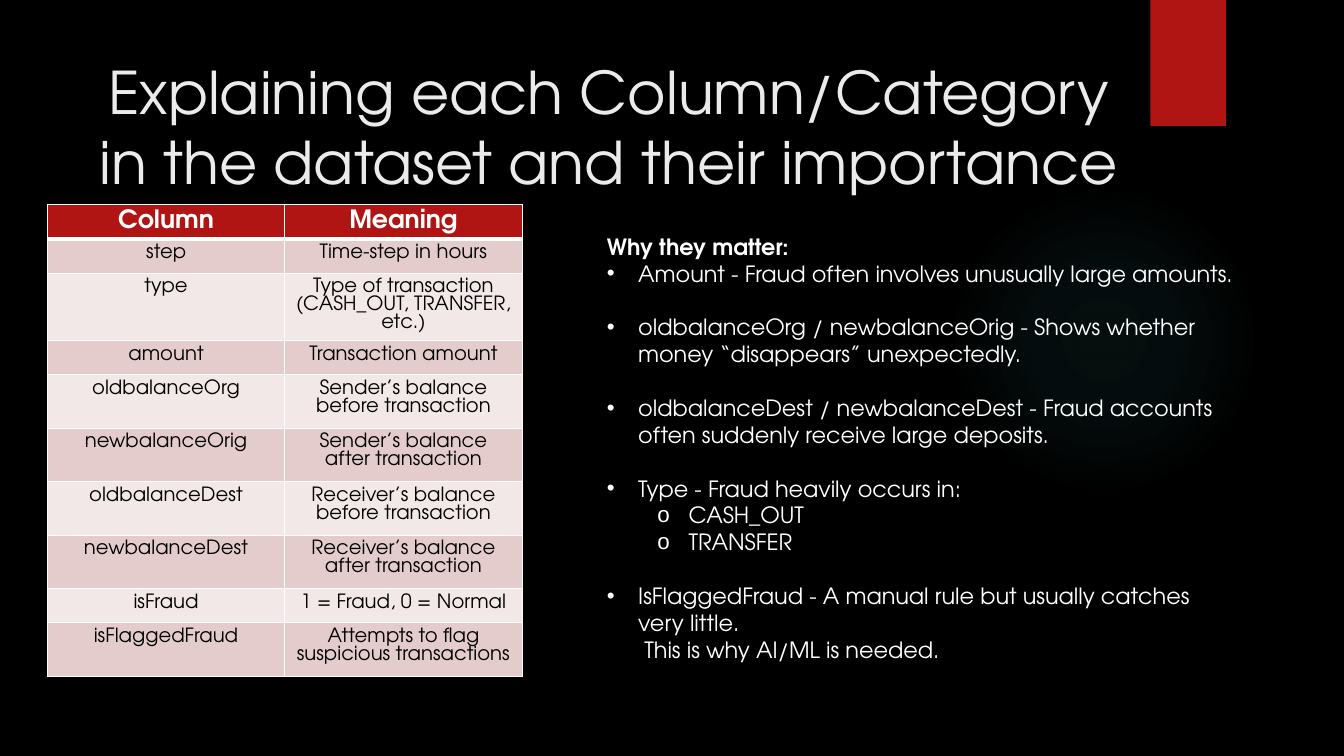
from lxml import etree
from pptx import Presentation
from pptx import util as u
from pptx.dml.color import RGBColor
from pptx.enum import shapes, text
from pptx.oxml import parse_xml
from pptx.oxml.ns import nsdecls, qn

HEAD = "Explaining each Column/Category in the dataset and their importance"
ROWS = [
    ("Column", "Meaning", 1),
    ("step", "Time-step in hours", 1),
    ("type", "Type of transaction (CASH_OUT, TRANSFER, etc.)", 3),
    ("amount", "Transaction amount", 1),
    ("oldbalanceOrg", "Sender’s balance before transaction", 2),
    ("newbalanceOrig", "Sender’s balance after transaction", 2),
    ("oldbalanceDest", "Receiver’s balance before transaction", 2),
    ("newbalanceDest", "Receiver’s balance after transaction", 2),
    ("isFraud", "1 = Fraud, 0 = Normal", 1),
    ("isFlaggedFraud", "Attempts to flag suspicious transactions", 2),
]
POINTS = [
    ("Why they matter:", "lead", 0),
    ("Amount - Fraud often involves unusually large amounts.", "dot", 0),
    ("oldbalanceOrg / newbalanceOrig - Shows whether money “disappears” unexpectedly.", "dot", 1),
    ("oldbalanceDest / newbalanceDest - Fraud accounts often suddenly receive large deposits.", "dot", 1),
    ("Type - Fraud heavily occurs in:", "dot", 1),
    ("CASH_OUT", "sub", 0),
    ("TRANSFER", "sub", 0),
    ("IsFlaggedFraud - A manual rule but usually catches very little.\v This is why AI/ML is needed.", "dot", 1),
]
MARKS = {"lead": (0, None, 0, 0), "dot": (0, "•", 0.31, -0.31), "sub": (1, "o", 0.81, -0.31)}
TALL = {1: 0.34, 2: 0.53, 3: 0.67}
COL = 2.355
GAP = u.Pt(19.2)

FACE = "TeX Gyre Adventor"
BLACK = RGBColor(0, 0, 0)
WHITE = RGBColor(255, 255, 255)
PALE = RGBColor(0xEB, 0xEB, 0xEB)
RED = RGBColor(0xB0, 0x15, 0x13)
BANDS = [RGBColor(0xF2, 0xE8, 0xE7), RGBColor(0xE4, 0xCC, 0xCC)]
GLOW = RGBColor(0x50, 0xB9, 0xC1)
STOPS = [(0, 7), (36, 6), (69, 0)]


def put(item, **vals):
    for key, val in vals.items():
        setattr(item, key, val)


def style(para, size, color, bold=False):
    for run in para.runs:
        put(run.font, name=FACE, size=u.Pt(size), bold=bold)
        run.font.color.rgb = color


def place(item, left, top, wide, high):
    put(item, left=u.Inches(left), top=u.Inches(top), width=u.Inches(wide), height=u.Inches(high))


def frame(shape):
    put(shape.text_frame, word_wrap=True, auto_size=text.MSO_AUTO_SIZE.NONE,
        vertical_anchor=text.MSO_ANCHOR.TOP)
    return shape.text_frame


def decor(slide, kind, box, color, spot):
    shape = slide.shapes.add_shape(kind, *map(u.Inches, box))
    shape.shadow.inherit = False
    shape.fill.solid()
    shape.fill.fore_color.rgb = color
    shape.line.fill.background()
    slide.shapes._spTree.insert(spot, shape._element)
    return shape


def glow(shape):
    stops = "".join(
        f'<a:gs pos="{pos * 1000}"><a:srgbClr val="{GLOW}"><a:alpha val="{seen * 1000}"/></a:srgbClr></a:gs>'
        for pos, seen in STOPS)
    fill = parse_xml(
        f'<a:gradFill {nsdecls("a")}><a:gsLst>{stops}</a:gsLst><a:path path="circle">'
        '<a:fillToRect l="50000" t="50000" r="50000" b="50000"/></a:path></a:gradFill>')
    props = shape._element.spPr
    props.replace(props.find(qn("a:solidFill")), fill)


def edges(cell, row):
    props = cell._tc.get_or_add_tcPr()
    thick = {"lnL": 1, "lnR": 1, "lnT": 3 if row == 1 else 1, "lnB": 3 if row == 0 else 1}
    for spot, (tag, wide) in enumerate(thick.items()):
        props.insert(spot, parse_xml(
            f'<a:{tag} {nsdecls("a")} w="{u.Pt(wide)}"><a:solidFill>'
            f'<a:srgbClr val="{WHITE}"/></a:solidFill></a:{tag}>'))


def grid(slide):
    highs = [TALL[lines] for *_, lines in ROWS]
    box = [0.47, 2.03, 2 * COL, sum(highs)]
    table = slide.shapes.add_table(len(ROWS), 2, *map(u.Inches, box)).table
    for col in table.columns:
        col.width = u.Inches(COL)
    for row, (*words, _) in enumerate(ROWS):
        table.rows[row].height = u.Inches(highs[row])
        for col, word in enumerate(words):
            cell = table.cell(row, col)
            cell.text = word
            cell.fill.solid()
            cell.fill.fore_color.rgb = BANDS[row % 2] if row else RED
            para = cell.text_frame.paragraphs[0]
            put(para, alignment=text.PP_ALIGN.CENTER, line_spacing=1.0)
            style(para, *((14, BLACK) if row else (18, WHITE, True)))
            edges(cell, row)


def points(body):
    place(body, 5.92, 2.26, 6.48, 4.71)
    area = frame(body)
    for num, (words, kind, gap) in enumerate(POINTS):
        para = area.add_paragraph() if num else area.paragraphs[0]
        level, mark, left, hang = MARKS[kind]
        para.text = words
        put(para, level=level, space_before=gap * GAP, space_after=u.Pt(0), line_spacing=1.0)
        style(para, 16, WHITE, kind == "lead")
        props = para._p.get_or_add_pPr()
        props.set("marL", str(u.Inches(left)))
        props.set("indent", str(u.Inches(hang)))
        bullet = etree.SubElement(props, qn("a:buChar" if mark else "a:buNone"))
        if mark:
            bullet.set("char", mark)


def main():
    deck = Presentation()
    put(deck, slide_width=u.Inches(13.33), slide_height=u.Inches(7.5))
    slide = deck.slides.add_slide(deck.slide_layouts[1])
    slide.background.fill.solid()
    slide.background.fill.fore_color.rgb = BLACK
    glow(decor(slide, shapes.MSO_SHAPE.OVAL, (9.41, 1.83, 3.08, 3.08), GLOW, 2))
    decor(slide, shapes.MSO_SHAPE.RECTANGLE, (11.41, 0, 0.75, 1.25), RED, 3)
    title = slide.shapes.title
    place(title, 0.71, 0.5, 10.65, 1.53)
    para = frame(title).paragraphs[0]
    para.text = HEAD
    para.alignment = text.PP_ALIGN.CENTER
    style(para, 42, PALE)
    grid(slide)
    points(slide.placeholders[1])
    deck.save("out.pptx")


if __name__ == "__main__":
    main()
